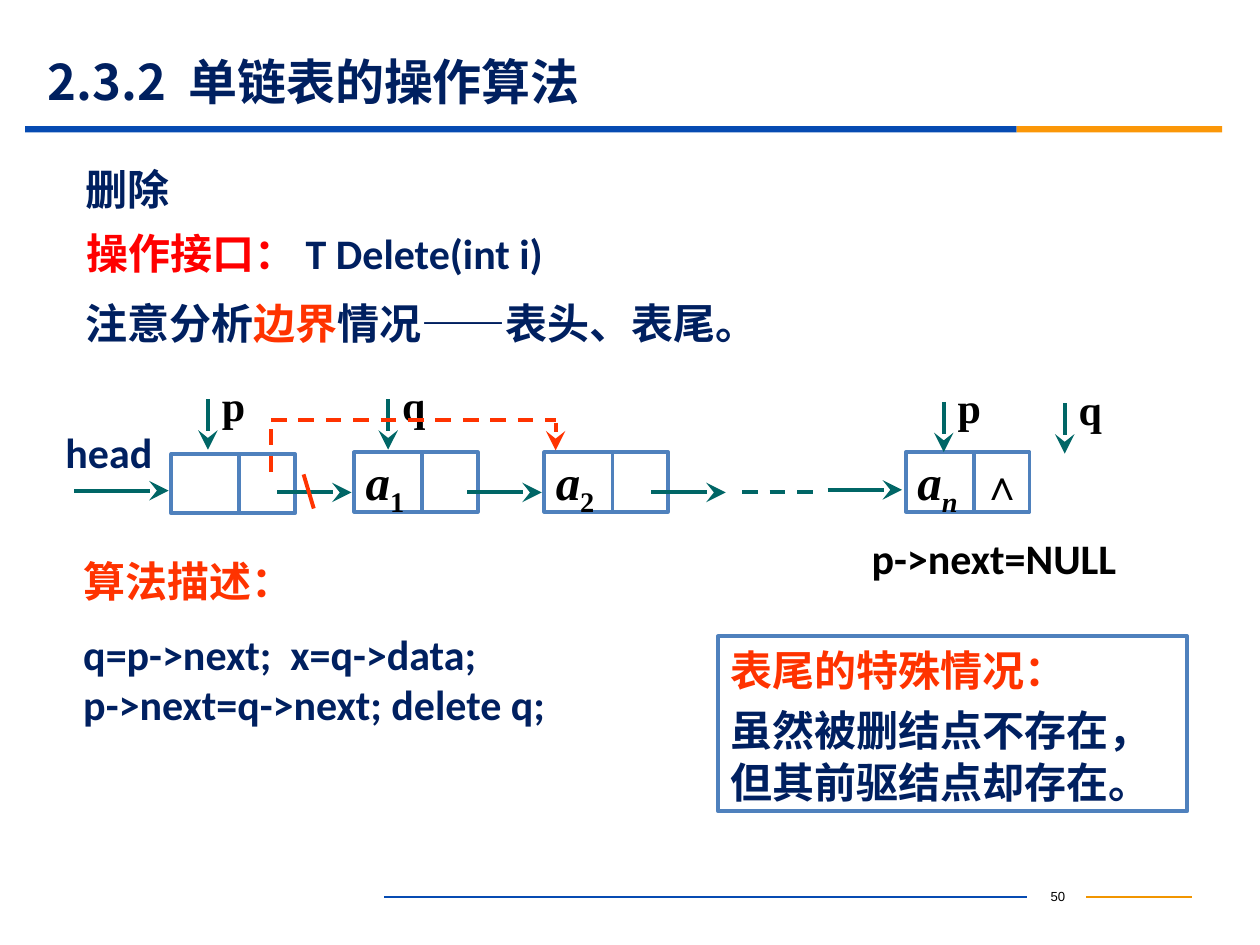
from lxml import etree
from pptx import Presentation
from pptx.dml.color import RGBColor
from pptx.enum import dml, shapes, text
from pptx.oxml import ns
from pptx.util import Pt

NAVY = RGBColor(0x00, 0x20, 0x60)
RED = RGBColor(0xFF, 0x00, 0x00)
ORANGE_RED = RGBColor(0xFF, 0x33, 0x00)
TEAL = RGBColor(0x00, 0x66, 0x66)
STEEL = RGBColor(0x4F, 0x81, 0xBD)
BLUE = RGBColor(0x06, 0x4B, 0xB2)
AMBER = RGBColor(0xFB, 0x97, 0x08)
DARK_AMBER = RGBColor(0xF1, 0x95, 0x00)
BLACK = RGBColor(0, 0, 0)

HAN, ROMAN, CODE = "Noto Sans CJK SC", "Times New Roman", "Calibri"
INSETS = (7.2, 3.6, 7.2, 3.6)
NODE_W, NODE_H, DATA_W, LINK_W = 70.6, 34, 38.9, 42.5


def add_run(paragraph, words, font, color, size=24, bold=True, italic=False, baseline=0):
    run = paragraph.add_run()
    run.text = words
    run.font.name, run.font.size = font, Pt(size)
    run.font.bold, run.font.italic = bold, italic
    run.font.color.rgb = color
    properties = run.font._element
    if baseline:
        properties.set("baseline", str(baseline))
    if any(ord(letter) > 0x2E00 for letter in words):
        latin = properties.find(ns.qn("a:latin"))
        east_asian = etree.Element(ns.qn("a:ea"), typeface=HAN)
        latin.addnext(east_asian)


def fill_text(holder, paragraphs, insets=INSETS, anchor=text.MSO_ANCHOR.TOP,
              align=text.PP_ALIGN.LEFT):
    """Each paragraph is (runs, space before, line spacing)."""
    frame = holder.text_frame
    frame.word_wrap = True
    frame.vertical_anchor = anchor
    (frame.margin_left, frame.margin_top,
     frame.margin_right, frame.margin_bottom) = map(Pt, insets)
    for index, (runs, before, spacing) in enumerate(paragraphs):
        paragraph = frame.add_paragraph() if index else frame.paragraphs[0]
        paragraph.alignment = align
        paragraph.space_before = Pt(before)
        paragraph.line_spacing = spacing
        for run in runs:
            add_run(paragraph, *run)


def add_text(slide, box, paragraphs, **options):
    holder = slide.shapes.add_textbox(*map(Pt, box))
    fill_text(holder, paragraphs, **options)


def add_line(slide, start, end, color, width=2.25, arrow=False, dashed=False):
    line = slide.shapes.add_connector(
        shapes.MSO_CONNECTOR.STRAIGHT, *map(Pt, (*start, *end)))
    line.line.color.rgb = color
    line.line.width = Pt(width)
    if dashed:
        line.line.dash_style = dml.MSO_LINE.DASH
    if arrow:
        etree.SubElement(line.line._get_or_add_ln(), ns.qn("a:tailEnd"),
                         type="stealth", w="lg", len="lg")
    etree.SubElement(line._element.spPr, ns.qn("a:effectLst"))


def add_rectangle(slide, box, fill=None, outline=None):
    rectangle = slide.shapes.add_shape(shapes.MSO_SHAPE.RECTANGLE, *map(Pt, box))
    rectangle.shadow.inherit = False
    if fill is None:
        rectangle.fill.background()
    else:
        rectangle.fill.solid()
        rectangle.fill.fore_color.rgb = fill
    if outline is None:
        rectangle.line.fill.background()
    else:
        rectangle.line.color.rgb = outline
        rectangle.line.width = Pt(2.25)
    return rectangle


def header(slide, x, y, width):
    # Title over a two-coloured rule
    add_text(slide, (x + 5.8, y, 648, 31),
             [([("2.3.2  单链表的操作算法", HAN, NAVY, 28)], 0, 1)],
             anchor=text.MSO_ANCHOR.MIDDLE)
    blue_width = 566.6
    add_rectangle(slide, (x, y + 41, blue_width, 3.6), BLUE)
    add_rectangle(slide, (x + blue_width, y + 41, width - blue_width, 3.6), AMBER)


def footer(slide, x, y, width):
    # Page number between two thin rules
    add_line(slide, (x, y), (x + 367.2, y), BLUE, 0.75)
    add_line(slide, (x + 401, y), (x + width, y), DARK_AMBER, 0.75)
    add_text(slide, (x + 368, y - 9.5, 34, 18),
             [([("50", "Arial", BLACK, 7.5, False)], 0, 1)],
             anchor=text.MSO_ANCHOR.MIDDLE, align=text.PP_ALIGN.CENTER)


def introduction(slide, x, y):
    add_text(slide, (x, y, 466, 46), [([("删除", HAN, NAVY)], 0, 1)],
             anchor=text.MSO_ANCHOR.MIDDLE)
    interface = [("操作接口", ROMAN, RED), ("： ", "Courier New", RED),
                 ("T Delete(int i)", CODE, NAVY)]
    add_text(slide, (x + 7.2, y + 44, 497, 37), [(interface, 0, Pt(26))],
             insets=(0, 3.6, 0, 3.6))
    boundary = [("注意分析", ROMAN, NAVY), ("边界", ROMAN, ORANGE_RED),
                ("情况——表头、表尾。", ROMAN, NAVY)]
    add_text(slide, (x, y + 80, 636, 36), [(boundary, 0, Pt(30))])


def pointer(slide, x, y, name):
    add_line(slide, (x, y), (x, y + 28.8), TEAL, arrow=True)
    add_text(slide, (x + 8, y - 11.5, 19.4, 29),
             [([(name, ROMAN, BLACK)], 0, 1)], insets=(0, 0, 0, 0))


def node(slide, x, y, subscript=None):
    box = add_rectangle(slide, (x, y, NODE_W, NODE_H), outline=STEEL)
    add_line(slide, (x + DATA_W, y), (x + DATA_W, y + NODE_H), STEEL)
    if subscript:
        runs = [("a", ROMAN, BLACK, 28, True, True),
                (subscript, ROMAN, BLACK, 28, True, subscript == "n", -25000)]
        fill_text(box, [(runs, 0, 0.9)], insets=(6.5, 0, 0, 5.8))


def linked_list(slide, x, y):
    node_top, link_y = y + 42, y + 65

    # Head pointer
    add_line(slide, (x + 5, link_y - 1), (x + 59, link_y - 1), TEAL, arrow=True)
    add_text(slide, (x, y + 27.5, 60, 37), [([("head", CODE, NAVY)], 0, 1)],
             insets=(0, 0, 0, 2.9))

    # Nodes: the header node is blank
    node(slide, x + 60.5, node_top + 1)
    for left, subscript in ((165, "1"), (273.7, "2"), (480.3, "n")):
        node(slide, x + left, node_top, subscript)
    add_text(slide, (x + 516.3, node_top, 35, 36), [([("∧", ROMAN, BLACK)], 0, 1)],
             align=text.PP_ALIGN.CENTER)

    # Links and the elided middle of the list
    for left, rise in ((121, 0), (229.7, 0), (334.8, 0), (435.6, 1.5)):
        add_line(slide, (x + left, link_y - rise), (x + left + LINK_W, link_y - rise),
                 TEAL, arrow=True)
    add_line(slide, (x + 386.7, link_y), (x + 386.7 + LINK_W, link_y), TEAL, dashed=True)

    # Pointers p and q, first in the middle of the list and then at its tail
    for left, drop, name in ((81.4, 11.8, "p"), (184.4, 11.8, "q"),
                             (501.9, 13.2, "p"), (571, 14, "q")):
        pointer(slide, x + left, y + drop, name)

    # Bypass around the deleted node, and the cut link
    bypass_left, bypass_right, bypass_y = x + 117.4, x + 280.1, y + 23.8
    add_line(slide, (bypass_left, y + 53.3), (bypass_left, bypass_y + 1.4),
             ORANGE_RED, dashed=True)
    add_line(slide, (bypass_left, bypass_y), (bypass_right, bypass_y),
             ORANGE_RED, dashed=True)
    add_line(slide, (bypass_right, bypass_y + 1.4), (bypass_right, y + 41),
             ORANGE_RED, arrow=True, dashed=True)
    add_line(slide, (x + 141.9, y + 74.2), (x + 136.1, y + 54.7), ORANGE_RED)


def algorithm(slide, x, y):
    add_text(slide, (x, y, 401, 109), [
        ([("算法描述：", ROMAN, ORANGE_RED)], 0, Pt(30)),
        ([("q=p->next;  x=q->data;", CODE, NAVY)], 13, 1),
        ([("p->next=q->next; delete q;", CODE, NAVY)], 0, 1)])


def tail_case(slide, x, y):
    add_text(slide, (x + 80.6, y, 208, 36), [([("p->next=NULL", CODE, BLACK)], 0, 1)])
    note = add_rectangle(slide, (x, y + 62.6, 268, 100), outline=STEEL)
    fill_text(note, [
        ([("表尾的特殊情况：", HAN, ORANGE_RED)], 0, Pt(30)),
        ([("虽然被删结点不存在，但其前驱结点却存在。", HAN, NAVY)], 4, Pt(30))])


def main():
    deck = Presentation()
    deck.slide_width, deck.slide_height = Pt(720), Pt(540)
    slide = deck.slides.add_slide(deck.slide_layouts[6])
    header(slide, 14.4, 31, 684)
    introduction(slide, 42, 85)
    linked_list(slide, 37.4, 216.4)
    algorithm(slide, 40.5, 312.5)
    tail_case(slide, 410.4, 301)
    footer(slide, 219.6, 512.6, 461.5)
    deck.save("out.pptx")


if __name__ == "__main__":
    main()
